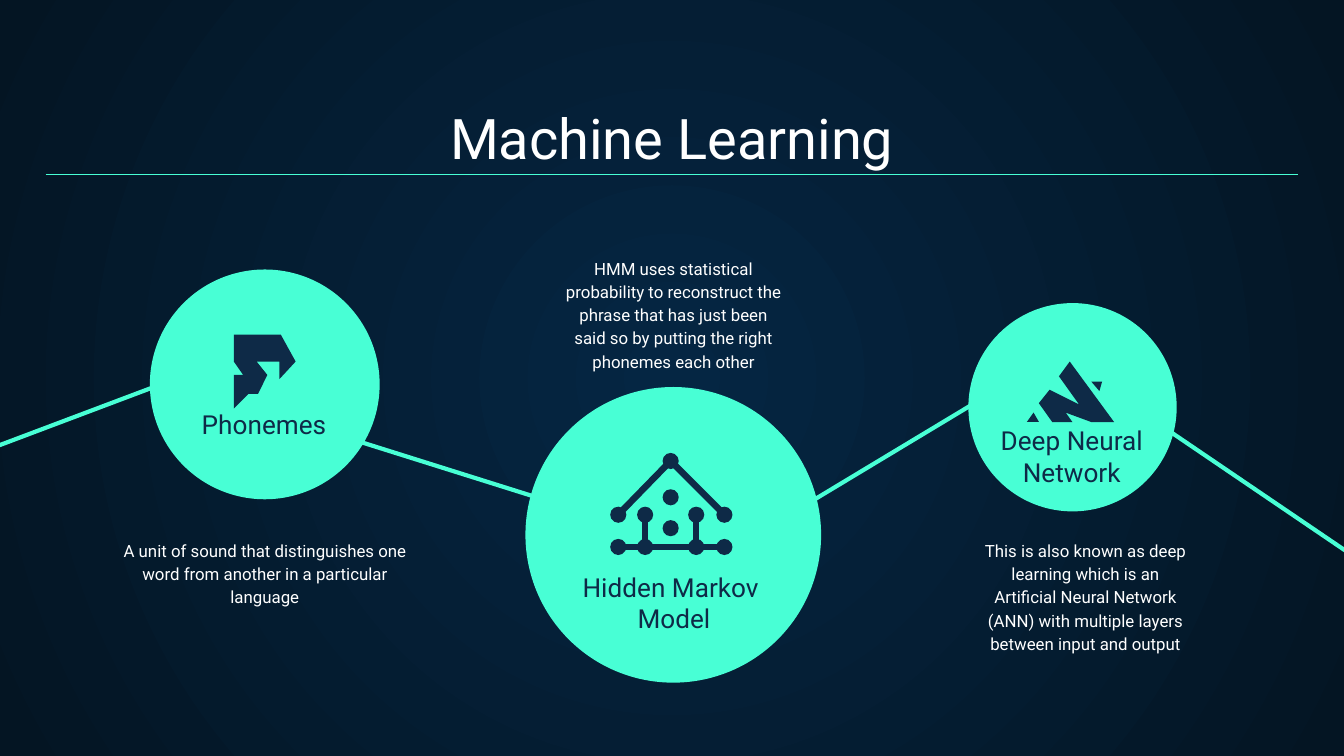
from dataclasses import dataclass

import pptx
import pptx.dml.color
import pptx.enum.shapes
import pptx.enum.text
import pptx.oxml
import pptx.oxml.ns
import pptx.util
from pptx.dml.color import RGBColor
from pptx.util import Inches

MINT = RGBColor(0x48, 0xFF, 0xD5)
NAVY = RGBColor(0x0E, 0x2A, 0x47)
WHITE = RGBColor(0xFF, 0xFF, 0xFF)
GLOW = RGBColor(0x05, 0x26, 0x43)
NIGHT = RGBColor(0x04, 0x15, 0x23)
FONT = "Roboto"

Point = tuple[float, float]
Box = tuple[float, float, float, float]


@dataclass
class Topic:
    center: Point
    diameter: float
    label: str
    label_box: Box
    description: str
    description_box: Box


TOPICS = [
    Topic((1.97, 2.86), 1.71, "Phonemes", (0.83, 2.94, 2.27, 0.44),
          "A unit of sound that distinguishes one word from another in a "
          "particular language", (0.74, 3.9, 2.46, 0.94)),
    Topic((5.01, 3.98), 2.2, "Hidden Markov \nModel", (3.88, 4.15, 2.27, 0.21),
          "HMM uses statistical probability to reconstruct the phrase that has "
          "just been said so by putting the right phonemes each other",
          (4.1, 1.8, 1.82, 0.78)),
    Topic((7.98, 3.03), 1.55, "Deep Neural\nNetwork", (6.84, 3.06, 2.27, 0.21),
          "This is also known as deep learning which is an Artificial Neural "
          "Network (ANN) with multiple layers between input and output",
          (7.2, 3.9, 1.75, 1.05)),
]

TOPIC_LINKS = [
    ((2.56, 3.25), (4.31, 3.8)),
    ((5.49, 4.06), (7.45, 2.88)),
    ((1.41, 2.78), (-0.66, 3.56)),
    ((10.25, 4.26), (8.35, 2.97)),
]

# Markov model icon: two rows of states below a column of three
STATE_XS = (4.6, 4.8, 5.18, 5.39)
UPPER_Y, LOWER_Y = 3.83, 4.07
APEX = (4.99, 3.43)
STATES = [APEX, (4.99, 3.7), (4.99, 3.93)]
STATES += [(x, y) for y in (UPPER_Y, LOWER_Y) for x in STATE_XS]
STATE_LINKS = [
    (APEX, (STATE_XS[0], UPPER_Y)),
    (APEX, (STATE_XS[3], UPPER_Y)),
    ((STATE_XS[0], LOWER_Y), (STATE_XS[3], LOWER_Y)),
]
STATE_LINKS += [((x, UPPER_Y), (x, LOWER_Y)) for x in STATE_XS[1:3]]

PHONEME_ICON = [
    [(1.74, 2.49), (1.74, 2.69), (1.81, 2.79), (1.74, 2.79), (1.74, 3.04),
     (1.85, 2.93), (1.92, 2.93), (1.99, 2.79), (1.91, 2.69), (2.08, 2.69),
     (2.08, 2.82), (2.2, 2.69), (2.09, 2.49)],
]
NETWORK_ICON = [
    [(7.69, 3.07), (7.64, 3.14), (7.73, 3.14)],
    [(8.12, 2.84), (8.18, 2.91), (8.2, 2.84)],
    [(7.96, 2.69), (7.88, 2.8), (8.03, 3.01), (7.81, 2.9), (7.73, 3),
     (7.83, 3.14), (7.98, 3.14), (7.93, 3.07), (8.12, 3.14), (8.29, 3.14)],
]


def paint(shape, color: RGBColor) -> None:
    shape.shadow.inherit = False
    shape.fill.solid()
    shape.fill.fore_color.rgb = color
    shape.line.fill.background()


def add_disc(shapes, center: Point, diameter: float, color: RGBColor) -> None:
    left, top = (c - diameter / 2 for c in center)
    disc = shapes.add_shape(pptx.enum.shapes.MSO_SHAPE.OVAL, Inches(left),
                            Inches(top), Inches(diameter), Inches(diameter))
    paint(disc, color)


def add_line(shapes, start: Point, end: Point, color: RGBColor,
             width: float) -> None:
    line = shapes.add_connector(pptx.enum.shapes.MSO_CONNECTOR.STRAIGHT,
                                *(Inches(c) for c in start + end))
    line.line.color.rgb = color
    line.line.width = pptx.util.Pt(width)
    effects = pptx.oxml.parse_xml(
        f'<a:effectLst {pptx.oxml.ns.nsdecls("a")}/>')
    line._element.spPr.append(effects)


def add_polygon(shapes, points: list[Point]) -> None:
    corners = [(Inches(x), Inches(y)) for x, y in points]
    builder = shapes.build_freeform(*corners[0])
    builder.add_line_segments(corners[1:], close=True)
    paint(builder.convert_to_shape(), NAVY)


def write(shape, text: str, size: float, color: RGBColor,
          spacing: float = 1.0) -> None:
    """Fill a text shape with centred, wrapped paragraphs."""
    frame = shape.text_frame
    frame.text = text
    frame.word_wrap = True
    frame.auto_size = pptx.enum.text.MSO_AUTO_SIZE.NONE
    frame.margin_left = frame.margin_right = Inches(0.1)
    frame.margin_top = frame.margin_bottom = Inches(0.1)
    for paragraph in frame.paragraphs:
        paragraph.alignment = pptx.enum.text.PP_ALIGN.CENTER
        paragraph.line_spacing = spacing
        for run in paragraph.runs:
            run.font.size = pptx.util.Pt(size)
            run.font.name = FONT
            run.font.color.rgb = color


def add_text(shapes, box: Box, text: str, size: float, color: RGBColor,
             spacing: float = 1.0) -> None:
    textbox = shapes.add_textbox(*(Inches(c) for c in box))
    write(textbox, text, size, color, spacing)


def set_radial_background(slide) -> None:
    fill = slide.background.fill
    fill.gradient()
    for stop, color in zip(fill.gradient_stops, (GLOW, NIGHT)):
        stop.color.rgb = color
    gradient = slide._element.find(".//" + pptx.oxml.ns.qn("a:gradFill"))
    gradient.remove(gradient.find(pptx.oxml.ns.qn("a:lin")))
    gradient.append(pptx.oxml.parse_xml(
        f'<a:path {pptx.oxml.ns.nsdecls("a")} path="circle">'
        '<a:fillToRect l="50000" t="50000" r="50000" b="50000"/></a:path>'))


def add_title(slide, text: str) -> None:
    title = slide.shapes.title
    title.left, title.top = Inches(0.34), Inches(0.71)
    title.width, title.height = Inches(9.32), Inches(0.66)
    write(title, text, 30, WHITE)
    title.text_frame.vertical_anchor = pptx.enum.text.MSO_ANCHOR.BOTTOM


def main() -> None:
    deck = pptx.Presentation()
    deck.slide_width = Inches(10)
    deck.slide_height = deck.slide_width * 9 // 16
    slide = deck.slides.add_slide(deck.slide_layouts.get_by_name("Title Only"))
    shapes = slide.shapes

    set_radial_background(slide)
    add_title(slide, "Machine Learning")
    for topic in TOPICS:
        add_disc(shapes, topic.center, topic.diameter, MINT)
    for start, end in TOPIC_LINKS:
        add_line(shapes, start, end, MINT, 2.25)
    for start, end in STATE_LINKS:
        add_line(shapes, start, end, NAVY, 3.5)
    for state in STATES:
        add_disc(shapes, state, 0.12, NAVY)
    for outline in PHONEME_ICON + NETWORK_ICON:
        add_polygon(shapes, outline)
    for topic in TOPICS:
        add_text(shapes, topic.label_box, topic.label, 14, NAVY)
        add_text(shapes, topic.description_box, topic.description, 9, WHITE, 1.15)
    add_line(shapes, (0.34, 1.3), (9.66, 1.3), MINT, 0.75)

    deck.save("out.pptx")


if __name__ == "__main__":
    main()
